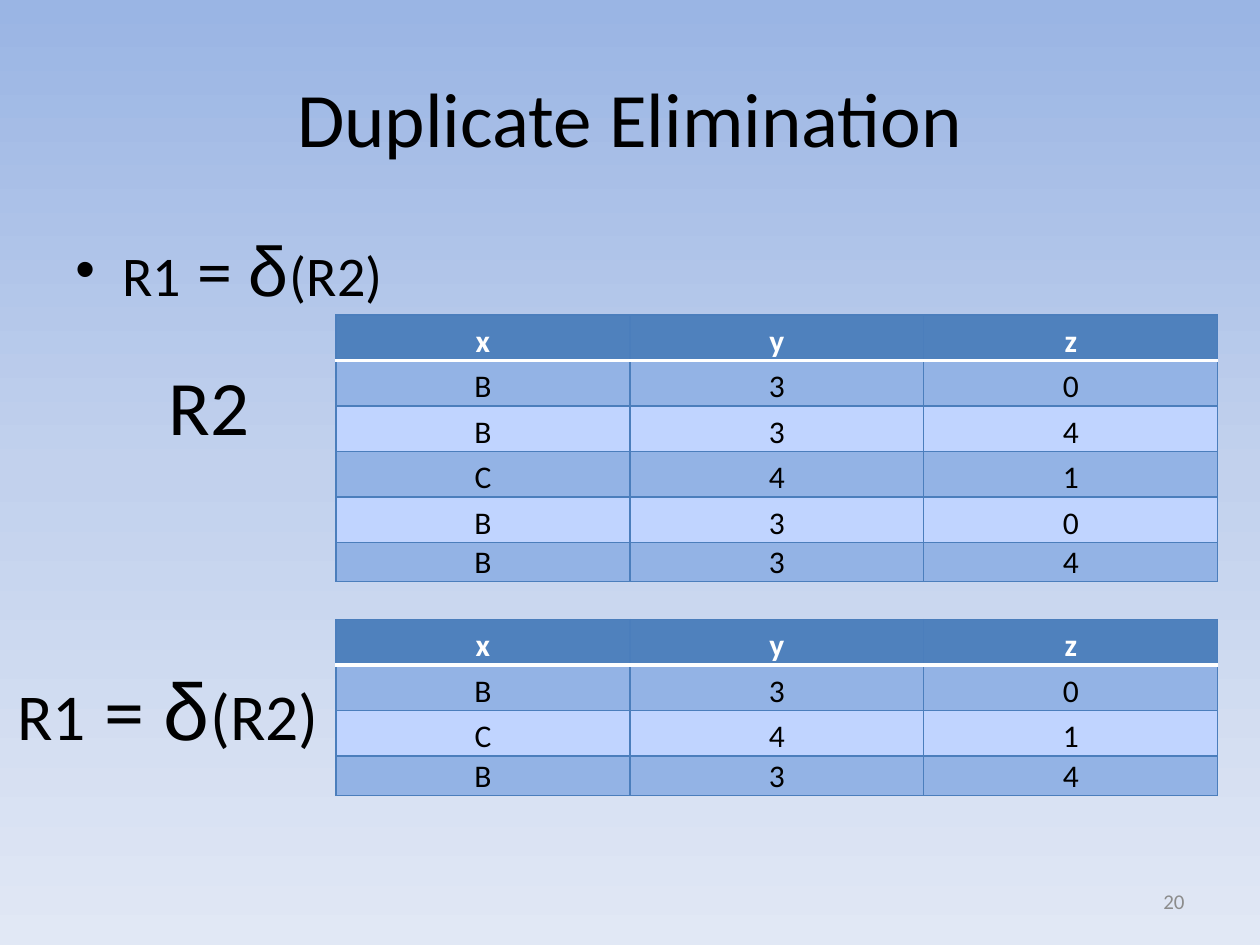
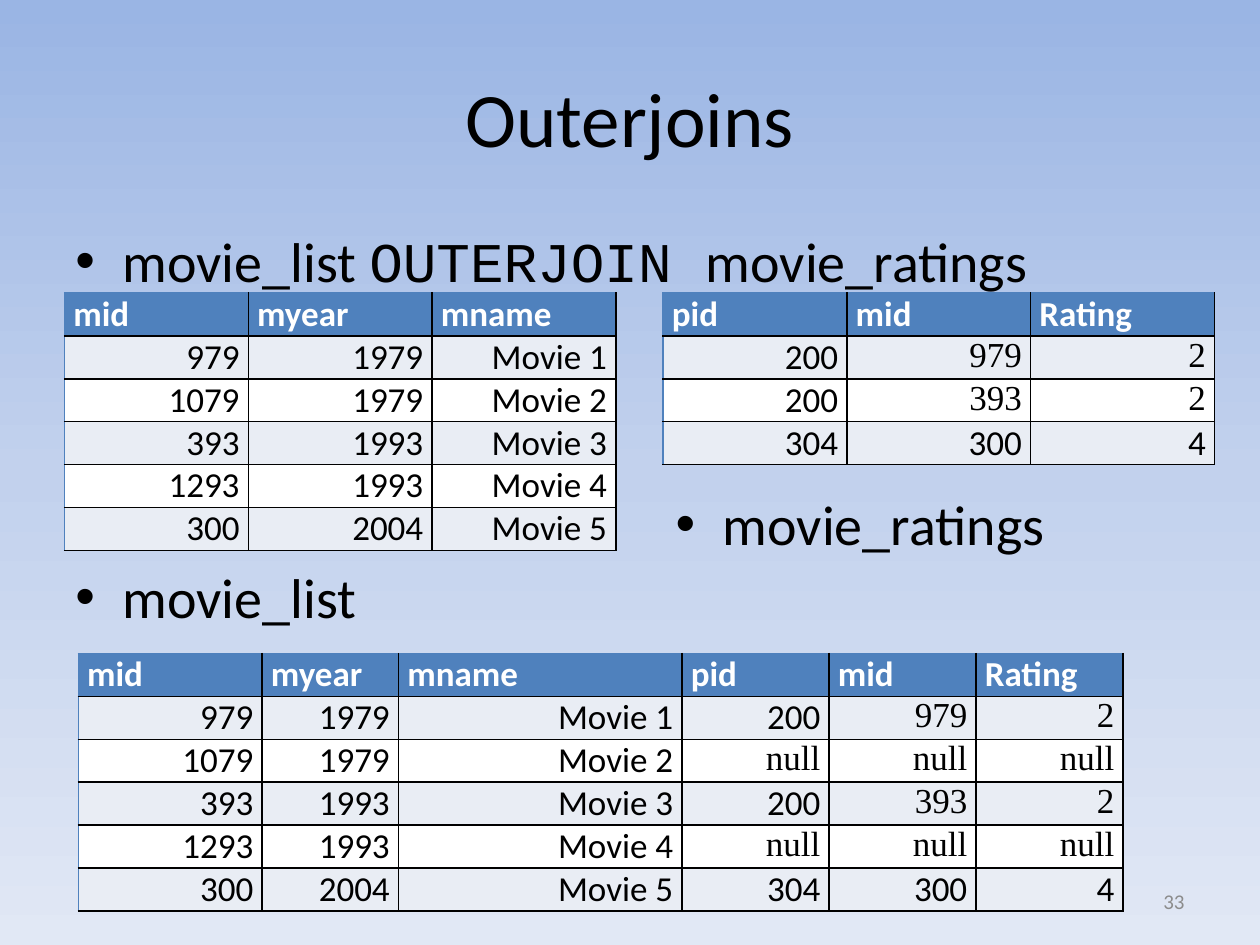
"""Build two relational algebra slides: duplicate elimination and outerjoins."""
import copy
from dataclasses import dataclass

import pptx
import pptx.dml.color
import pptx.enum.text
import pptx.oxml
import pptx.oxml.ns
import pptx.util

Pt = pptx.util.Pt
qn = pptx.oxml.ns.qn
ALIGN = pptx.enum.text.PP_ALIGN
ANCHOR = pptx.enum.text.MSO_ANCHOR
NS = pptx.oxml.ns.nsdecls("a")


@dataclass(frozen=True)
class Theme:
    """Colours, fonts and type sizes of the deck."""

    background: tuple = ("9AB5E4", "C2D1ED", "E1E8F5")
    text: str = "000000"
    white: str = "FFFFFF"
    muted: str = "8C8C8C"
    accent: str = "4F81BD"
    rule: str = "4B7EBC"
    sans: str = "Calibri"
    mono: str = "Courier New"
    serif: str = "Times New Roman"
    title: float = 44
    body: float = 32
    symbol: float = 40
    number: float = 12


@dataclass(frozen=True)
class TableStyle:
    """Look of one kind of table."""

    size: float
    bands: tuple
    line: str
    edge: str
    width: float
    header_line: tuple
    margins: tuple
    anchor: object
    header_align: object
    align: object


T = Theme()
TUPLES = TableStyle(18, ("93B3E5", "C0D4FF"), T.rule, T.rule, 0.75, (T.white, 2),
                    (0.72, 0.72, 0.72, 0), ANCHOR.BOTTOM, ALIGN.CENTER, ALIGN.CENTER)
RECORDS = TableStyle(20, ("E9EDF4", T.white), T.text, T.accent, 1, (T.text, 1),
                     (5, 0, 5, 0), ANCHOR.TOP, ALIGN.LEFT, ALIGN.RIGHT)


def rgb(color):
    """Turn a hex string into a colour."""
    return pptx.dml.color.RGBColor.from_string(color)


def set_font(font, size=None, name=None, color=None, bold=None):
    """Set the given properties of a font."""
    if size:
        font.size = Pt(size)
    if name:
        font.name = name
    if color:
        font.color.rgb = rgb(color)
    if bold is not None:
        font.bold = bold


def add_bullet(p):
    """Give a paragraph a hanging round bullet and a fifth of a line before it."""
    pPr = p._p.get_or_add_pPr()
    pPr.set("marL", str(Pt(27)))
    pPr.set("indent", str(-Pt(27)))
    parts = ('<a:spcBef {}><a:spcPct val="20000"/></a:spcBef>',
             '<a:buFont {} typeface="Arial"/>', '<a:buChar {} char="\u2022"/>')
    for i, part in enumerate(parts):
        pPr.insert(i, pptx.oxml.parse_xml(part.format(NS)))


def add_text(s, box, runs, size, align=ALIGN.CENTER, anchor=ANCHOR.MIDDLE,
             color=T.text, bullet=False):
    """Add a one-paragraph text box; runs are (text, size, font) tuples."""
    tf = s.shapes.add_textbox(*map(Pt, box)).text_frame
    tf.word_wrap = True
    tf.vertical_anchor = anchor
    p = tf.paragraphs[0]
    p.alignment = align
    set_font(p.font, size, T.sans, color)
    for text, run_size, name in runs:
        r = p.add_run()
        r.text = text
        set_font(r.font, run_size, name)
    if bullet:
        add_bullet(p)


def add_label(s, box, text, size=T.title, **options):
    """Add a text box in a single font."""
    add_text(s, box, [(text, None, None)], size, **options)


def add_bullet_text(s, box, runs):
    """Add a bulleted line of body text."""
    add_text(s, box, runs, T.body, ALIGN.LEFT, ANCHOR.TOP, bullet=True)


def dedup_runs(size, symbol_size):
    """Return the runs of the duplicate elimination formula."""
    return [("R1", size, None), (" = ", symbol_size, None),
            ("\u03b4", symbol_size, T.mono), ("(R2)", size, None)]


def set_borders(cell, sides):
    """Draw the left, right, top and bottom borders of a cell."""
    tcPr = cell._tc.get_or_add_tcPr()
    for i, (side, (color, width)) in enumerate(zip("LRTB", sides)):
        tcPr.insert(i, pptx.oxml.parse_xml(
            f'<a:ln{side} {NS} w="{Pt(width)}"><a:solidFill>'
            f'<a:srgbClr val="{color}"/></a:solidFill></a:ln{side}>'))


def fill_cell(cell, text, style, row, col, font):
    """Write and style one table cell."""
    header = row == 0
    cell.margin_left, cell.margin_top, cell.margin_right, cell.margin_bottom = map(
        Pt, style.margins)
    cell.vertical_anchor = style.anchor
    cell.fill.solid()
    cell.fill.fore_color.rgb = rgb(T.accent if header else style.bands[(row - 1) % 2])
    p = cell.text_frame.paragraphs[0]
    p.alignment = style.header_align if header else style.align
    set_font(p.font, style.size, font, T.white if header else T.text, header)
    p.add_run().text = text
    inner, edge = (style.line, style.width), (style.edge, style.width)
    set_borders(cell, (
        edge if col == 0 else inner, inner,
        edge if header else style.header_line if row == 1 else inner,
        style.header_line if header else inner))


def add_table(s, left, top, widths, heights, rows, style, serif_from=None):
    """Add a table; null and all but the last row from serif_from on are serif."""
    tbl = s.shapes.add_table(len(rows), len(widths), Pt(left), Pt(top),
                             Pt(sum(widths)), Pt(sum(heights))).table
    tbl.horz_banding = False
    for column, width in zip(tbl.columns, widths):
        column.width = Pt(width)
    for i, (row, height) in enumerate(zip(rows, heights)):
        tbl.rows[i].height = Pt(height)
        for j, text in enumerate(row):
            late = serif_from is not None and j >= serif_from
            serif = text == "null" or late and 0 < i < len(rows) - 1
            fill_cell(tbl.cell(i, j), text, style, i, j, T.serif if serif else T.sans)


def add_tuples(s, top, rows):
    """Add a table of x, y, z tuples with a shorter last row."""
    heights = [26] * len(rows) + [22.5]
    add_table(s, 192, top, [168] * 3, heights, [("x", "y", "z"), *rows], TUPLES)


def add_records(s, left, top, widths, rows, serif_from=None):
    """Add a table of movie records with even rows."""
    add_table(s, left, top, widths, [24.5] * len(rows), rows, RECORDS, serif_from)


def add_slide(prs, title, number):
    """Add a slide with the shared background, title and slide number."""
    s = prs.slides.add_slide(prs.slide_layouts[6])
    fill = s.background.fill
    fill.gradient()
    fill.gradient_angle = 270
    stops = s._element.find(".//" + qn("a:gsLst"))
    stops.append(copy.deepcopy(stops[0]))
    for i, (stop, color) in enumerate(zip(fill.gradient_stops, T.background)):
        stop.color.rgb = rgb(color)
        stop.position = i / 2
    add_label(s, (36, 21.6, 648, 90), title)
    add_label(s, (516, 500.4, 168, 28.8), str(number), T.number,
              align=ALIGN.RIGHT, color=T.muted)
    return s


def build_duplicates(prs):
    """Build the duplicate elimination slide."""
    s = add_slide(prs, "Duplicate Elimination", 20)
    add_bullet_text(s, (36, 126, 648, 60), dedup_runs(T.body, T.symbol))
    b30, b34, c41 = ("B", "3", "0"), ("B", "3", "4"), ("C", "4", "1")
    add_tuples(s, 180, [b30, b34, c41, b30, b34])
    add_label(s, (46.8, 186, 145.2, 90), "R2")
    add_tuples(s, 354, [b30, c41, b34])
    add_text(s, (0, 360, 192, 90), dedup_runs(37.4, 45.9), 37.4)


def build_outerjoins(prs):
    """Build the outerjoin slide, joining the two tables on mid."""
    s = add_slide(prs, "Outerjoins", 33)
    add_bullet_text(s, (36, 126, 648, 54), [
        ("movie_list ", None, None), ("OUTERJOIN ", None, T.mono),
        ("movie_ratings", None, None)])
    movies = [("mid", "myear", "mname"), ("979", "1979", "Movie 1"),
              ("1079", "1979", "Movie 2"), ("393", "1993", "Movie 3"),
              ("1293", "1993", "Movie 4"), ("300", "2004", "Movie 5")]
    ratings = [("pid", "mid", "Rating"), ("200", "979", "2"),
               ("200", "393", "2"), ("304", "300", "4")]
    by_mid = {rating[1]: rating for rating in ratings}
    joined = [movie + by_mid.get(movie[0], ("null",) * 3) for movie in movies]
    add_records(s, 36.9, 167.5, [105] * 3, movies)
    add_records(s, 379, 167.5, [105] * 3, ratings, 1)
    add_bullet_text(s, (36, 318, 324, 54), [("movie_list", None, None)])
    add_bullet_text(s, (379, 276, 324, 54), [("movie_ratings", None, None)])
    add_records(s, 44.8, 373.5, [105, 78, 162, 84, 84, 84], joined, 4)


def main():
    """Build and save the deck."""
    prs = pptx.Presentation()
    prs.slide_width, prs.slide_height = Pt(720), Pt(540)
    build_duplicates(prs)
    build_outerjoins(prs)
    prs.save("out.pptx")


main()
